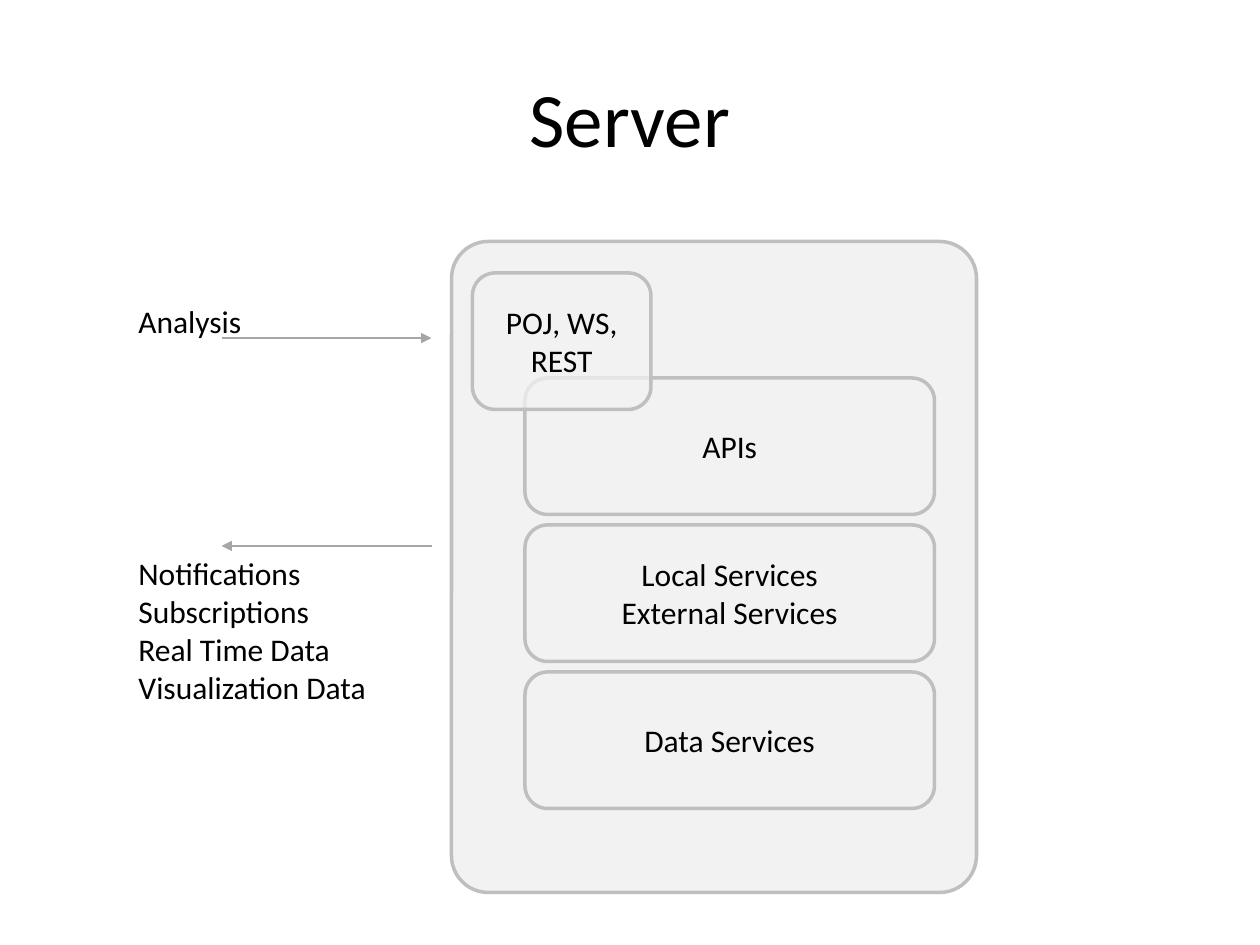
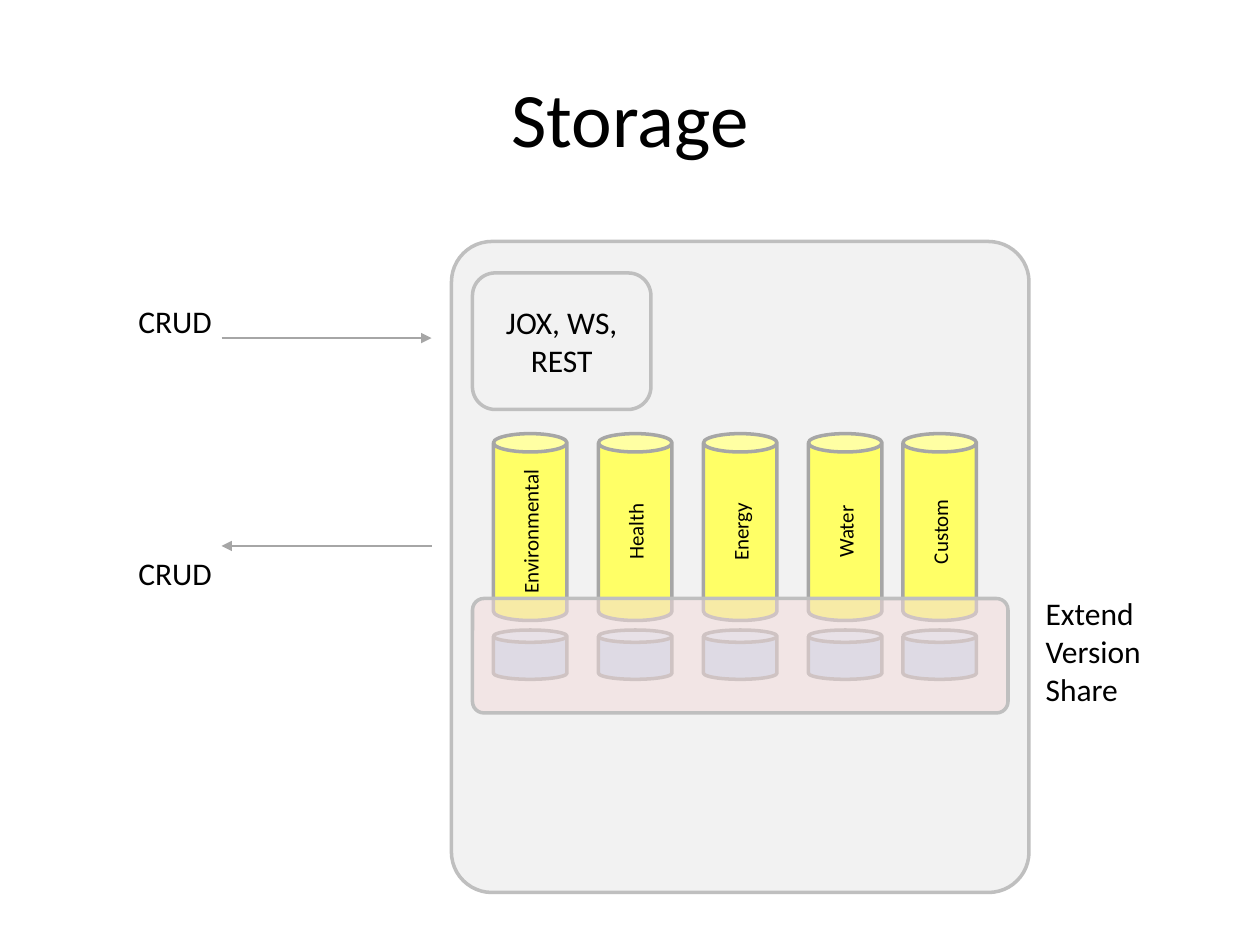
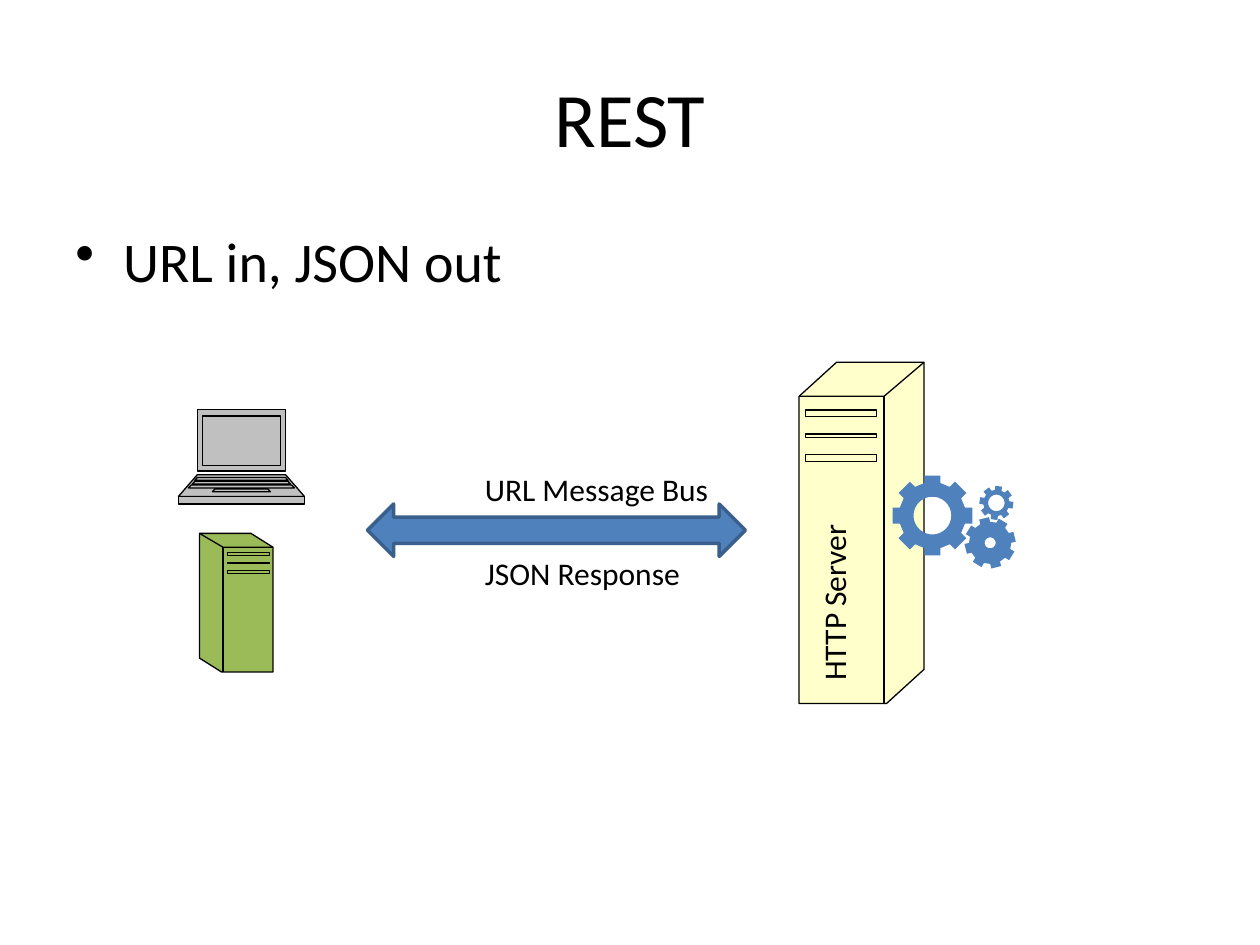
from dataclasses import dataclass
from math import cos, radians, sin

from lxml import etree
from pptx import Presentation
from pptx.dml.color import RGBColor
from pptx.enum.shapes import MSO_CONNECTOR, MSO_SHAPE
from pptx.enum.text import MSO_ANCHOR, MSO_AUTO_SIZE, PP_ALIGN
from pptx.oxml.ns import qn
from pptx.util import Inches, Pt

ROUNDED = MSO_SHAPE.ROUNDED_RECTANGLE
CAN = MSO_SHAPE.CAN
DOUBLE_ARROW = MSO_SHAPE.LEFT_RIGHT_ARROW
STRAIGHT = MSO_CONNECTOR.STRAIGHT
TOP, MIDDLE = MSO_ANCHOR.TOP, MSO_ANCHOR.MIDDLE
LEFT, CENTER = PP_ALIGN.LEFT, PP_ALIGN.CENTER
GROW = MSO_AUTO_SIZE.SHAPE_TO_FIT_TEXT

CELLS_PER_INCH = 12  # the slide is a grid of 120 columns by 90 rows


@dataclass(frozen=True)
class Theme:
    """Colours, font and type sizes shared by the slides."""
    font: str = "Calibri"
    title: int = 44
    body: int = 32
    label: int = 18
    small: int = 12
    ink: str = "000000"
    panel: str = "F2F2F2"
    panel_edge: str = "BFBFBF"
    edge: str = "A6A6A6"
    store: str = "FFFF66"
    extension: str = "C6D9F1"
    overlay: str = "F2DCDB"
    accent: str = "4F81BD"
    accent_edge: str = "3A5F8C"
    server: str = "FFFFCC"
    client: str = "9BBB59"
    laptop: str = "C0C0C0"
    thick: float = 2
    thin: float = 0.75


THEME = Theme()


def cells(*counts):
    """Turn grid cells into lengths."""
    return [Inches(count / CELLS_PER_INCH) for count in counts]


def write(frame, text, size=THEME.label, align=LEFT, anchor=TOP, wrap=True,
          vertical=False, bullet=None):
    """Fill a text frame, one paragraph for each line of text."""
    frame.word_wrap = wrap
    frame.vertical_anchor = anchor
    if not wrap:
        frame.auto_size = GROW
    if vertical:
        frame._txBody.bodyPr.set("vert", "vert270")
    for index, line in enumerate(text.split("\n")):
        paragraph = frame.add_paragraph() if index else frame.paragraphs[0]
        paragraph.alignment = align
        run = paragraph.add_run()
        run.text = line
        run.font.name = THEME.font
        run.font.size = Pt(size)
        run.font.color.rgb = RGBColor.from_string(THEME.ink)
        if bullet:
            properties = paragraph._p.get_or_add_pPr()
            properties.set("marL", str(Inches(0.38)))
            properties.set("indent", str(-Inches(0.38)))
            etree.SubElement(properties, qn("a:buChar")).set("char", bullet)


def text_box(slide, box, text, **text_format):
    """Place text on the grid; box is left, top, width, height."""
    write(slide.shapes.add_textbox(*cells(*box)).text_frame, text, **text_format)


def paint(shape, fill, line=None, weight=THEME.thick, opacity=100):
    """Give a shape a flat fill and outline, without shadow."""
    shape.shadow.inherit = False
    shape.fill.solid()
    shape.fill.fore_color.rgb = RGBColor.from_string(fill)
    if opacity < 100:
        colour = shape._element.spPr.find(qn("a:solidFill"))[0]
        etree.SubElement(colour, qn("a:alpha")).set("val", str(opacity * 1000))
    if line:
        shape.line.color.rgb = RGBColor.from_string(line)
        shape.line.width = Pt(weight)
    else:
        shape.line.fill.background()


def block(slide, kind, box, fill, line, text="", opacity=100, corner=None,
          **text_format):
    """Draw a preset shape, with centred text if there is any."""
    shape = slide.shapes.add_shape(kind, *cells(*box))
    paint(shape, fill, line, opacity=opacity)
    if corner is not None:
        shape.adjustments[0] = corner
    if text:
        write(shape.text_frame, text, align=CENTER, anchor=MIDDLE, **text_format)


def service(slide, box, text):
    """Draw a translucent service box."""
    block(slide, ROUNDED, box, THEME.panel, THEME.panel_edge, text, opacity=75)


def arrow(slide, start, end):
    """Draw a thin line with an arrowhead at its end."""
    line = slide.shapes.add_connector(STRAIGHT, *cells(*start, *end))
    line.line.color.rgb = RGBColor.from_string(THEME.edge)
    line.line.width = Pt(THEME.thin)
    outline = line.line._get_or_add_ln()
    etree.SubElement(outline, qn("a:tailEnd")).set("type", "triangle")
    etree.SubElement(line._element.spPr, qn("a:effectLst"))


def outline_shape(slide, contours):
    """Build a freeform from (points, closed) contours in grid cells."""
    builder = None
    for points, closed in contours:
        start, *rest = [cells(*point) for point in points]
        if builder is None:
            builder = slide.shapes.build_freeform(*start)
        else:
            builder.move_to(*start)
        builder.add_line_segments(rest, close=closed)
    return builder.convert_to_shape()


def layer_contours(shape):
    """Stack the contours as separate paths; open ones stay unfilled."""
    joined = shape._element.spPr.find(".//" + qn("a:path"))
    layers = joined.getparent()
    for step in list(joined):
        if step.tag == qn("a:moveTo"):
            layer = etree.SubElement(layers, qn("a:path"), dict(joined.attrib))
            layer.set("fill", "none")
        elif step.tag == qn("a:close"):
            del layer.attrib["fill"]
        layer.append(step)
    layers.remove(joined)


def tower(slide, box, fill, mirrored=False):
    """Draw a tower computer from shares of its box."""
    left, top, width, height = box
    contours = [
        ([(0, 0.1), (0.3, 0), (1, 0), (1, 0.9), (0.7, 1), (0, 1)], True),
        ([(0, 0.1), (0.68, 0.1), (1, 0)], False),
        ([(0.68, 0.1), (0.68, 1)], False),
    ]
    for upper, lower in ((0.14, 0.16), (0.21, 0.22), (0.27, 0.29)):
        contours.append(([(0.05, upper), (0.62, upper),
                          (0.62, lower), (0.05, lower)], True))
    placed = [([(left + width * (1 - x if mirrored else x), top + height * y)
                for x, y in points], closed) for points, closed in contours]
    shape = outline_shape(slide, placed)
    layer_contours(shape)
    paint(shape, fill, THEME.ink, THEME.thin)


def laptop(slide, box):
    """Draw a laptop from symmetric bands, as shares of its box."""
    left, top, width, height = box
    bands = [  # upper and lower edge, half width at each
        (0, 0.65, 0.35, 0.35), (0.69, 0.92, 0.35, 0.5), (0.92, 1, 0.5, 0.5),
        (0.07, 0.59, 0.31, 0.31), (0.72, 0.75, 0.35, 0.37),
        (0.84, 0.87, 0.21, 0.23), (0.76, 0.79, 0.37, 0.39),
        (0.8, 0.83, 0.4, 0.42),
    ]
    contours = []
    for upper, lower, half_upper, half_lower in bands:
        corners = [(-half_upper, upper), (half_upper, upper),
                   (half_lower, lower), (-half_lower, lower)]
        contours.append(([(left + width * (0.5 + x), top + height * y)
                          for x, y in corners], True))
    shape = outline_shape(slide, contours)
    layer_contours(shape)
    paint(shape, THEME.laptop, THEME.ink, THEME.thin)


def gear(slide, center, outer, root, hole, turn=0, teeth=8):
    """Draw a gear wheel with a round hole."""
    def around(x, y, angle):
        """Turn a point about the centre of the gear."""
        c, s = cos(radians(angle)), sin(radians(angle))
        return center[0] + x * c - y * s, center[1] + x * s + y * c

    half = outer * 0.2
    tooth = [(root, -half), (outer, -half), (outer, half), (root, half)]
    rim = [around(x, y, turn + 360 / teeth * index)
           for index in range(teeth) for x, y in tooth]
    bore = [around(hole, 0, angle) for angle in range(0, 360, 12)]
    paint(outline_shape(slide, [(rim, True), (bore, True)]), THEME.accent)


def new_slide(deck, title):
    """Add a blank slide with its title."""
    slide = deck.slides.add_slide(deck.slide_layouts[6])
    text_box(slide, (6, 3.6, 108, 15), title, size=THEME.title,
             align=CENTER, anchor=MIDDLE)
    return slide


def exchange_slide(deck, title, panel_width, request, reply, interface):
    """Add a slide with a panel, its interface and the traffic with it.

    Request and reply are (text, width, height)."""
    slide = new_slide(deck, title)
    block(slide, ROUNDED, (43, 23, panel_width, 62), THEME.panel,
          THEME.panel_edge, corner=0.07)
    arrow(slide, (21.1, 32.2), (41.1, 32.2))
    arrow(slide, (41.1, 52), (21.1, 52))
    for top, (text, width, height) in ((28.2, request), (52.2, reply)):
        text_box(slide, (12, top, width, height), text, wrap=False)
    if title == "Server":
        service(slide, (50, 36, 39, 13), "APIs")
    service(slide, (45, 26, 17, 13), interface)
    return slide


def server_slide(deck):
    """Show the layers of the server."""
    reply = "Notifications\nSubscriptions\nReal Time Data\nVisualization Data"
    slide = exchange_slide(deck, "Server", 50, ("Analysis", 12.4, 4.8),
                           (reply, 24.4, 15.7), "POJ, WS, REST")
    service(slide, (50, 64, 39, 13), "Data Services")
    service(slide, (50, 50, 39, 13), "Local Services\nExternal Services")


def storage_slide(deck):
    """Show the data stores and their extensions."""
    crud = ("CRUD", 9.5, 4.8)
    slide = exchange_slide(deck, "Storage", 55, crud, crud, "JOX, WS, REST")
    stores = {"Environmental": 47, "Health": 57, "Energy": 67,
              "Water": 77, "Custom": 86}
    for name, column in stores.items():
        block(slide, CAN, (column, 41.3, 7, 17.8), THEME.store, THEME.edge,
              name, size=THEME.small, vertical=True)
    for column in stores.values():
        block(slide, CAN, (column, 60, 7, 4.7), THEME.extension, THEME.edge)
    block(slide, ROUNDED, (45, 57, 51, 10.9), THEME.overlay, THEME.panel_edge,
          opacity=55, corner=0.1)
    text_box(slide, (98.4, 56, 11.6, 12.1), "Extend\nVersion\nShare", wrap=False)


def rest_slide(deck):
    """Show clients and an HTTP server exchanging messages."""
    slide = new_slide(deck, "REST")
    text_box(slide, (6, 21, 108, 59.4), "URL in, JSON out",
             size=THEME.body, bullet="•")
    tower(slide, (76.1, 34.5, 11.9, 32.5), THEME.server)
    text_box(slide, (77, 49.8, 6, 16.2), "HTTP Server", wrap=False, vertical=True)
    laptop(slide, (17, 39, 12, 9))
    tower(slide, (19, 50.8, 7, 13.2), THEME.client, mirrored=True)
    block(slide, DOUBLE_ARROW, (35, 48, 36, 5), THEME.accent, THEME.accent_edge)
    text_box(slide, (45, 44.2, 23.9, 4.8), "URL Message Bus", wrap=False)
    text_box(slide, (45, 52.2, 21.2, 4.8), "JSON Response", wrap=False)
    gear(slide, (88.8, 49.1), outer=3.8, root=3.1, hole=1.8)
    gear(slide, (94.9, 47.9), outer=1.6, root=1.2, hole=0.78, turn=8)
    gear(slide, (94.3, 51.7), outer=2.4, root=1.95, hole=0.52, turn=-14)


def main():
    """Build and save the deck."""
    deck = Presentation()
    deck.slide_width, deck.slide_height = cells(120, 90)
    server_slide(deck)
    storage_slide(deck)
    rest_slide(deck)
    deck.save("out.pptx")


main()
